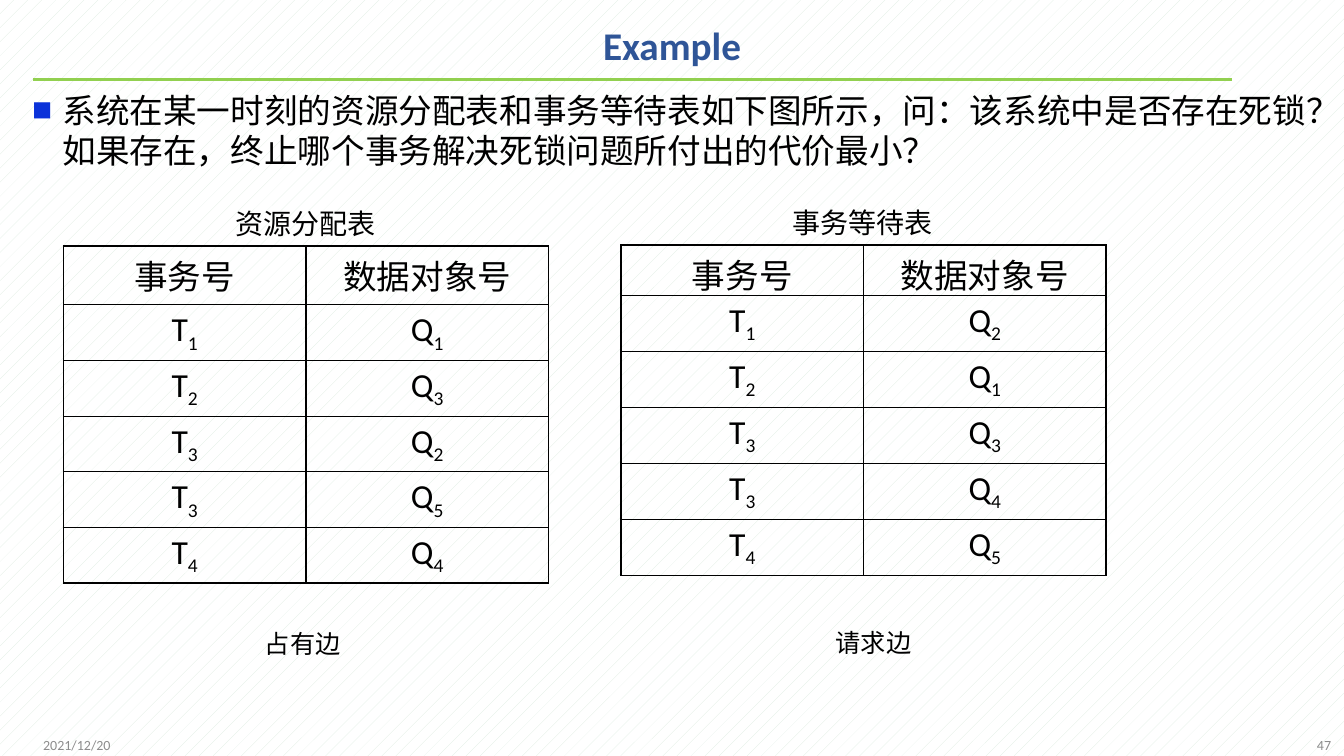
from dataclasses import dataclass

from lxml import etree
from pptx import Presentation
from pptx.dml.color import RGBColor
from pptx.enum.dml import MSO_PATTERN
from pptx.enum.shapes import MSO_CONNECTOR
from pptx.enum.text import MSO_ANCHOR, MSO_AUTO_SIZE, PP_ALIGN
from pptx.oxml.ns import qn
from pptx.util import Inches, Pt

STRAIGHT = MSO_CONNECTOR.STRAIGHT
DOTTED = MSO_PATTERN.PERCENT_5
TOP, MIDDLE = MSO_ANCHOR.TOP, MSO_ANCHOR.MIDDLE
NO_FIT = MSO_AUTO_SIZE.NONE
LEFT, CENTER, RIGHT = PP_ALIGN.LEFT, PP_ALIGN.CENTER, PP_ALIGN.RIGHT


@dataclass(frozen=True)
class Theme:
    font: str = "Calibri"
    caption_font: str = "Noto Sans CJK SC"
    text: str = "000000"
    title: str = "2F5597"
    rule: str = "92D050"
    bullet: str = "0B32D9"
    footer: str = "8C8C8C"
    paper: str = "FFFFFF"
    paper_dots: str = "DCECE0"
    title_size: int = 28
    body_size: int = 24
    caption_size: int = 20
    note_size: int = 18
    footer_size: int = 10


THEME = Theme()
QUESTION = ("系统在某一时刻的资源分配表和事务等待表如下图所示，问：该系统中是否存在死锁？"
            "如果存在，终止哪个事务解决死锁问题所付出的代价最小？")
HEADER = ("事务号", "数据对象号")
ALLOCATIONS = ((1, 1), (2, 3), (3, 2), (3, 5), (4, 4))
WAITS = ((1, 2), (2, 1), (3, 3), (3, 4), (4, 5))


def color(value):
    return RGBColor.from_string(value)


def add_run(paragraph, text, size, rgb=THEME.text, font=THEME.font, bold=False):
    run = paragraph.add_run()
    run.text = text
    run.font.size = Pt(size)
    run.font.name = font
    run.font.bold = bold
    run.font.color.rgb = color(rgb)
    return run


def place(shape, left, top, width, height):
    shape.left, shape.top = Inches(left), Inches(top)
    shape.width, shape.height = Inches(width), Inches(height)


def set_background(slide):
    fill = slide.background.fill
    fill.patterned()
    fill.pattern = DOTTED
    fill.fore_color.rgb = color(THEME.paper_dots)
    fill.back_color.rgb = color(THEME.paper)


def add_rule(slide):
    rule = slide.shapes.add_connector(
        STRAIGHT, Inches(0.33), Inches(0.79), Inches(12.22), Inches(0.79))
    rule.line.color.rgb = color(THEME.rule)
    rule.line.width = Pt(2.25)
    etree.SubElement(rule._element.spPr, qn("a:effectLst"))


def fill_title(shape, text):
    place(shape, 0.34, 0.09, 12.65, 0.77)
    shape.text_frame.auto_size = NO_FIT
    shape.text_frame.vertical_anchor = MIDDLE
    paragraph = shape.text_frame.paragraphs[0]
    paragraph.alignment = CENTER
    paragraph.line_spacing = 0.9
    add_run(paragraph, text, THEME.title_size, THEME.title, bold=True)


def add_bullet(paragraph):
    properties = paragraph._p.get_or_add_pPr()
    properties.set("marL", str(Inches(0.3)))
    properties.set("indent", str(-Inches(0.3)))
    bullet_color = etree.SubElement(properties, qn("a:buClr"))
    etree.SubElement(bullet_color, qn("a:srgbClr"), val=THEME.bullet)
    etree.SubElement(properties, qn("a:buSzPct"), val="60000")
    etree.SubElement(properties, qn("a:buFont"), typeface=THEME.caption_font)
    etree.SubElement(properties, qn("a:buChar"), char="■")


def fill_body(shape, text):
    place(shape, 0.22, 0.84, 12.94, 6.36)
    shape.text_frame.auto_size = NO_FIT
    shape.text_frame.vertical_anchor = TOP
    paragraph = shape.text_frame.paragraphs[0]
    add_bullet(paragraph)
    paragraph.alignment = LEFT
    paragraph.space_before = Pt(0)
    add_run(paragraph, text, THEME.body_size)


def add_label(slide, box, text, size, rgb=THEME.text, font=THEME.caption_font,
              align=LEFT, anchor=TOP, wrap=False):
    frame = slide.shapes.add_textbox(*map(Inches, box)).text_frame
    frame.word_wrap = wrap
    frame.vertical_anchor = anchor
    paragraph = frame.paragraphs[0]
    paragraph.alignment = align
    add_run(paragraph, text, size, rgb, font)


def set_borders(cell):
    properties = cell._tc.get_or_add_tcPr()
    for index, side in enumerate(("lnL", "lnR", "lnT", "lnB")):
        line = etree.Element(qn(f"a:{side}"), w=str(Pt(1)))
        fill = etree.SubElement(line, qn("a:solidFill"))
        etree.SubElement(fill, qn("a:srgbClr"), val=THEME.text)
        properties.insert(index, line)


def fill_cell(cell, text, subscript=None):
    cell.fill.background()
    set_borders(cell)
    paragraph = cell.text_frame.paragraphs[0]
    paragraph.alignment = CENTER
    add_run(paragraph, text, THEME.body_size)
    if subscript is not None:
        run = add_run(paragraph, str(subscript), THEME.body_size)
        run.font._element.set("baseline", "-25000")


def add_edge_table(slide, left, top, header_height, edges):
    row_height = 0.55
    table = slide.shapes.add_table(
        len(edges) + 1, len(HEADER), Inches(left), Inches(top), Inches(4.81),
        Inches(header_height + row_height * len(edges))).table
    table.first_row = table.horz_banding = False
    for row in table.rows:
        row.height = Inches(row_height)
    table.rows[0].height = Inches(header_height)
    for column, heading in enumerate(HEADER):
        fill_cell(table.cell(0, column), heading)
    for row, edge in enumerate(edges, start=1):
        for column, (letter, number) in enumerate(zip("TQ", edge)):
            fill_cell(table.cell(row, column), letter, number)


def main():
    presentation = Presentation()
    presentation.slide_width = Inches(13.33)
    presentation.slide_height = Inches(7.5)
    slide = presentation.slides.add_slide(presentation.slide_layouts[1])
    set_background(slide)

    # Heading and question
    add_rule(slide)
    fill_title(slide.shapes.title, "Example")
    fill_body(slide.placeholders[1], QUESTION)

    # Allocation table
    add_edge_table(slide, 0.63, 2.44, 0.58, ALLOCATIONS)
    add_label(slide, (2.24, 2, 1.6, 0.44), "资源分配表", THEME.caption_size)
    add_label(slide, (2.53, 6.18, 0.96, 0.4), "占有边", THEME.note_size)

    # Waiting table
    add_edge_table(slide, 6.16, 2.43, 0.5, WAITS)
    add_label(slide, (7.76, 1.99, 1.66, 0.44), "事务等待表", THEME.caption_size)
    add_label(slide, (8.19, 6.17, 1.22, 0.4), "请求边", THEME.note_size, wrap=True)

    # Date and page number
    for left, text, align in ((0.33, "2021/12/20", LEFT), (10.3, "47", RIGHT)):
        add_label(slide, (left, 7.19, 3, 0.4), text, THEME.footer_size,
                  THEME.footer, THEME.font, align, MIDDLE, wrap=True)

    presentation.save("out.pptx")


if __name__ == "__main__":
    main()
